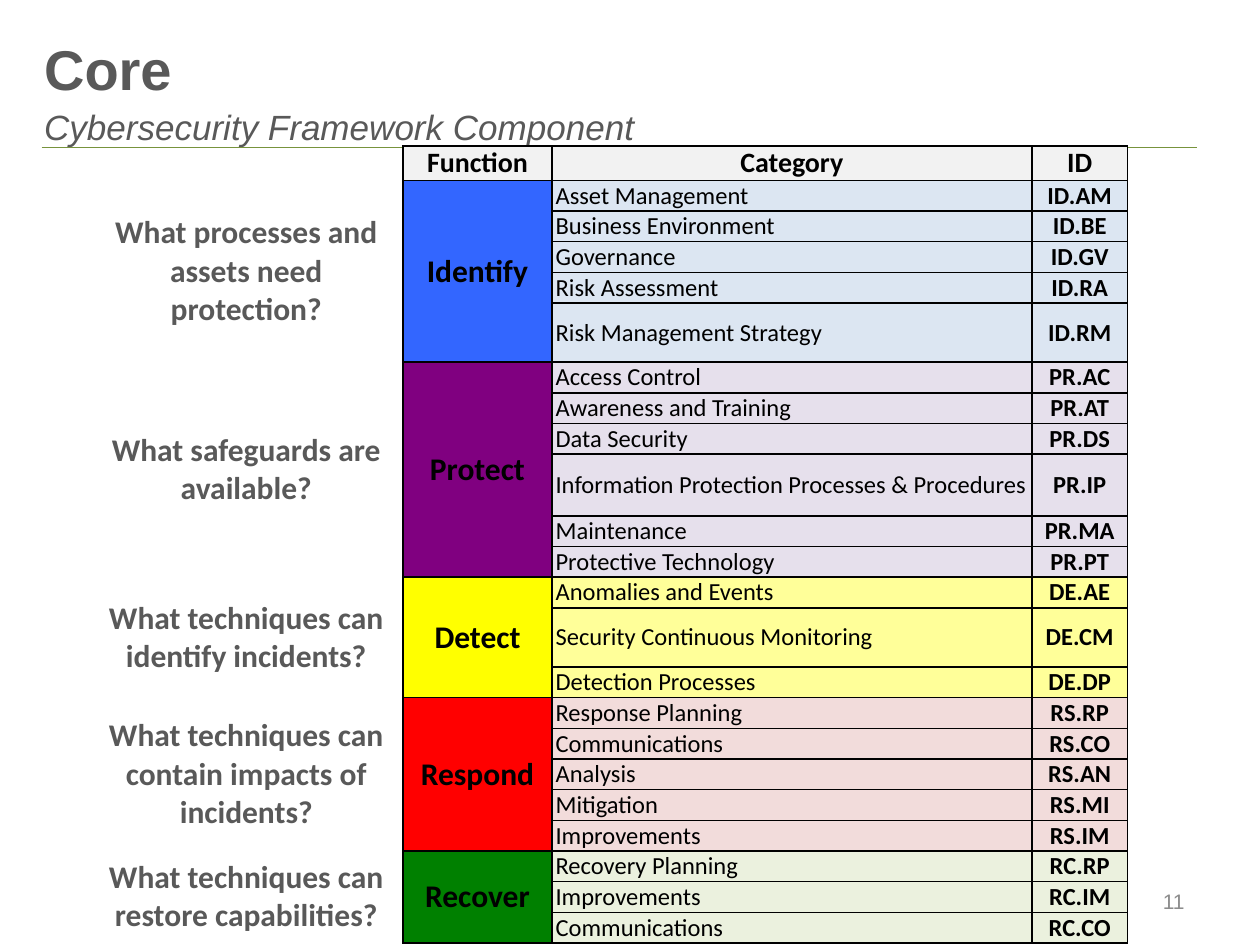
from lxml import etree
from pptx import Presentation
from pptx import util as u
from pptx.dml.color import RGBColor
from pptx.enum import shapes, text
from pptx.oxml.ns import qn

COLORS = {
    "black": "000000", "text": "595959", "number": "8C8C8C", "rule": "77933C", "header": "F2F2F2",
    "Identify": "3366FF", "Identify light": "DCE6F2",
    "Protect": "800080", "Protect light": "E6E0EC",
    "Detect": "FFFF00", "Detect light": "FFFF99",
    "Respond": "FF0000", "Respond light": "F2DCDB",
    "Recover": "008000", "Recover light": "EBF1DE",
}
FUNCTIONS = [
    ("Identify", "What processes and assets need protection?", [
        ("Asset Management", "ID.AM"), ("Business Environment", "ID.BE"),
        ("Governance", "ID.GV"), ("Risk Assessment", "ID.RA"),
        ("Risk Management Strategy", "ID.RM")]),
    ("Protect", "What safeguards are available?", [
        ("Access Control", "PR.AC"), ("Awareness and Training", "PR.AT"),
        ("Data Security", "PR.DS"),
        ("Information Protection Processes & Procedures", "PR.IP"),
        ("Maintenance", "PR.MA"), ("Protective Technology", "PR.PT")]),
    ("Detect", "What techniques can identify incidents?", [
        ("Anomalies and Events", "DE.AE"), ("Security Continuous Monitoring", "DE.CM"),
        ("Detection Processes", "DE.DP")]),
    ("Respond", "What techniques can contain impacts of incidents?", [
        ("Response Planning", "RS.RP"), ("Communications", "RS.CO"),
        ("Analysis", "RS.AN"), ("Mitigation", "RS.MI"), ("Improvements", "RS.IM")]),
    ("Recover", "What techniques can restore capabilities?", [
        ("Recovery Planning", "RC.RP"), ("Improvements", "RC.IM"),
        ("Communications", "RC.CO")]),
]
COLUMN_WIDTHS = [2.49, 1.18, 3.81, 0.76]
TABLE_HEIGHT = 6.33
HEADER_HEIGHT = 0.27
TALL_ROWS = {"ID.RM": 0.47, "PR.IP": 0.49, "DE.CM": 0.47}
NO_STYLE_NO_GRID = "{2D5ABB26-0587-4C30-8999-92F81FD0307C}"
ALL_SIDES = "LRTB"


def rgb(name):
    return RGBColor.from_string(COLORS[name])


def set_font(font, size, color, name="Calibri", bold=False, italic=False):
    font.name, font.size, font.bold, font.italic = name, u.Pt(size), bold, italic
    font.color.rgb = rgb(color)


def place(shape, left, top, width, height):
    shape.left, shape.top = u.Inches(left), u.Inches(top)
    shape.width, shape.height = u.Inches(width), u.Inches(height)


def add_title(page):
    title = page.shapes.title
    place(title, 0.25, 0.39, 9.25, 0.83)
    frame = title.text_frame
    frame.auto_size = text.MSO_AUTO_SIZE.NONE
    frame.vertical_anchor = text.MSO_ANCHOR.BOTTOM
    para = frame.paragraphs[0]
    para.alignment = text.PP_ALIGN.LEFT
    para.line_spacing = u.Pt(26)
    heading = para.add_run()
    heading.text = "Core"
    set_font(heading.font, 32, "text", "Arial", bold=True)
    para.add_line_break()
    subtitle = para.add_run()
    subtitle.text = "Cybersecurity Framework Component"
    set_font(subtitle.font, 20, "text", "Arial", italic=True)


def add_rule(page):
    rule = page.shapes.add_connector(
        shapes.MSO_CONNECTOR.STRAIGHT,
        u.Inches(0.33), u.Inches(1.17), u.Inches(9.5), u.Inches(1.17))
    rule.line.color.rgb = rgb("rule")
    rule.line.width = u.Pt(0.75)
    etree.SubElement(rule._element.spPr, qn("a:effectLst"))


def add_page_number(page):
    box = page.shapes.add_textbox(
        u.Inches(7.17), u.Inches(6.95), u.Inches(2.33), u.Inches(0.4))
    frame = box.text_frame
    frame.word_wrap = True
    frame.vertical_anchor = text.MSO_ANCHOR.MIDDLE
    para = frame.paragraphs[0]
    para.text = "11"
    para.alignment = text.PP_ALIGN.RIGHT
    set_font(para.font, 12, "number", "Arial")


def set_borders(cell, sides):
    """Draw 1 pt black lines on the given sides; must run before the cell's fill."""
    properties = cell._tc.get_or_add_tcPr()
    for side in sides:
        line = etree.SubElement(properties, qn(f"a:ln{side}"), w=str(u.Pt(1)))
        fill = etree.SubElement(line, qn("a:solidFill"))
        etree.SubElement(fill, qn("a:srgbClr"), val=COLORS["black"])


def set_margins(cell):
    cell.margin_left = cell.margin_right = u.Inches(0.03)
    cell.margin_top = cell.margin_bottom = 0


def fill_cell(cell, words, size, color="black", bold=True, centered=True, after=6):
    cell.vertical_anchor = text.MSO_ANCHOR.MIDDLE
    para = cell.text_frame.paragraphs[0]
    para.text = words
    para.alignment = text.PP_ALIGN.CENTER if centered else text.PP_ALIGN.LEFT
    para.space_after = u.Pt(after)
    set_font(para.font, size, color, bold=bold)


def paint(cell, color):
    cell.fill.solid()
    cell.fill.fore_color.rgb = rgb(color)


def add_header(table):
    table.rows[0].height = u.Inches(HEADER_HEIGHT)
    for column, words in enumerate(("Function", "Category", "ID"), 1):
        fill_cell(table.cell(0, column), words, 16)
        paint(table.cell(0, column), "header")
    # The empty corner needs a small font, or it stretches the row.
    corner = table.cell(0, 0).text_frame.paragraphs[0]
    etree.SubElement(corner._p, qn("a:endParaRPr"), sz="1200")


def add_function(table, top, name, question, categories):
    """Fill the rows of one function, from row `top` down."""
    bottom = top + len(categories) - 1
    for row, (category, code) in enumerate(categories, top):
        paint(table.cell(row, 1), name)
        for column in (2, 3):
            paint(table.cell(row, column), f"{name} light")
        fill_cell(table.cell(row, 2), category, 14, bold=False, centered=False, after=3)
        fill_cell(table.cell(row, 3), code, 14, after=3)
        if code in TALL_ROWS:
            table.rows[row].height = u.Inches(TALL_ROWS[code])
    for column, words, color in ((0, question, "text"), (1, name, "black")):
        table.cell(top, column).merge(table.cell(bottom, column))
        fill_cell(table.cell(top, column), words, 18, color)


def add_core_table(page):
    row_count = 1 + sum(len(categories) for _, _, categories in FUNCTIONS)
    frame = page.shapes.add_table(
        row_count, len(COLUMN_WIDTHS), u.Inches(0.71), u.Inches(1.16),
        u.Inches(sum(COLUMN_WIDTHS)), u.Inches(TABLE_HEIGHT))
    table = frame.table
    table.first_row = table.horz_banding = False
    table._tbl.tblPr.find(qn("a:tableStyleId")).text = NO_STYLE_NO_GRID
    for column, width in zip(table.columns, COLUMN_WIDTHS):
        column.width = u.Inches(width)

    plain_rows = row_count - 1 - len(TALL_ROWS)
    plain_height = (TABLE_HEIGHT - HEADER_HEIGHT - sum(TALL_ROWS.values())) / plain_rows
    for row in table.rows:
        row.height = u.Inches(plain_height)
        for column, cell in enumerate(row.cells):
            set_margins(cell)
            set_borders(cell, ALL_SIDES if column else "R")

    add_header(table)
    top = 1
    for name, question, categories in FUNCTIONS:
        add_function(table, top, name, question, categories)
        top += len(categories)


def main():
    deck = Presentation()
    deck.slide_width, deck.slide_height = u.Inches(10), u.Inches(7.5)
    page = deck.slides.add_slide(deck.slide_layouts.get_by_name("Title Only"))
    add_rule(page)
    add_title(page)
    add_core_table(page)
    add_page_number(page)
    deck.save("out.pptx")


if __name__ == "__main__":
    main()
